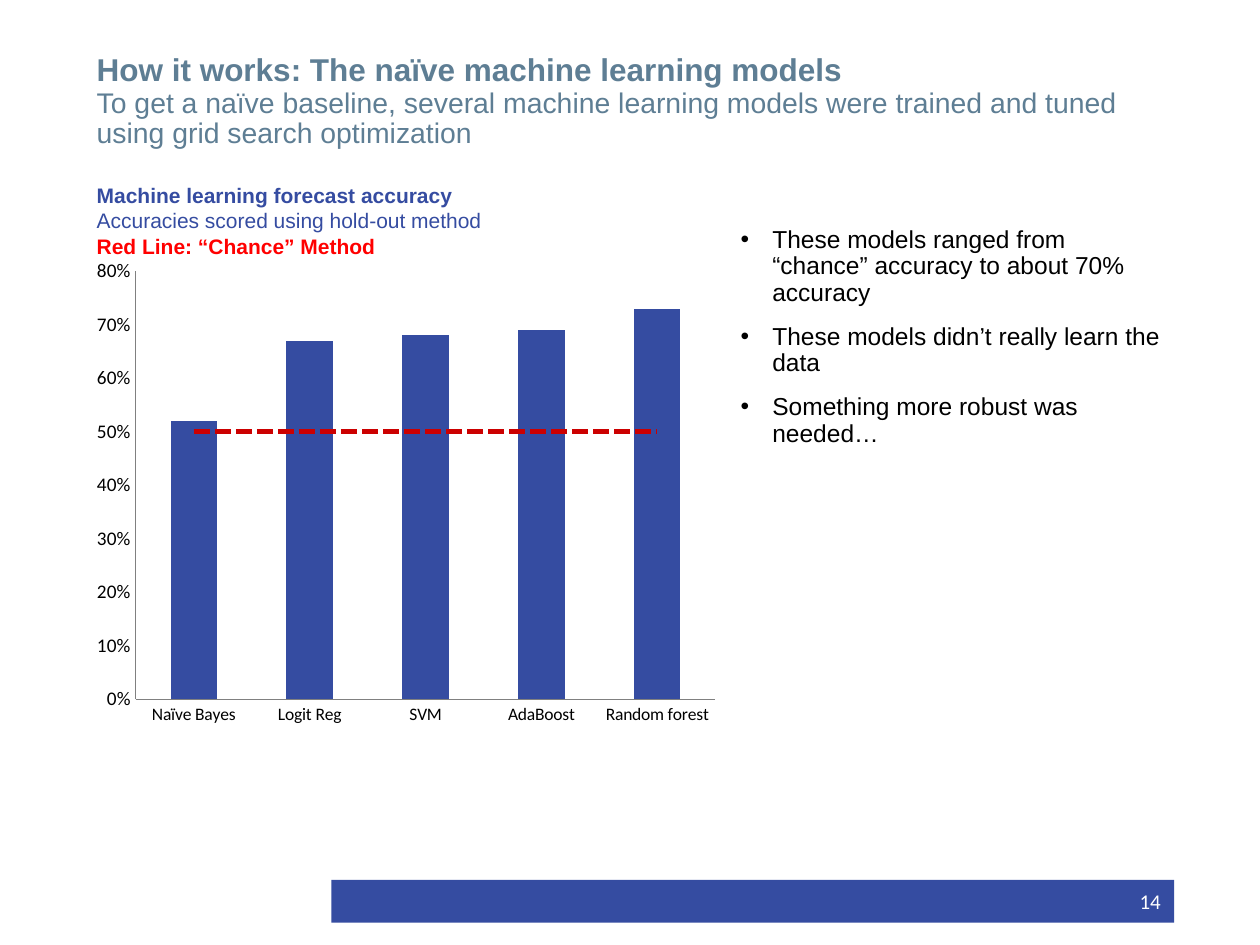
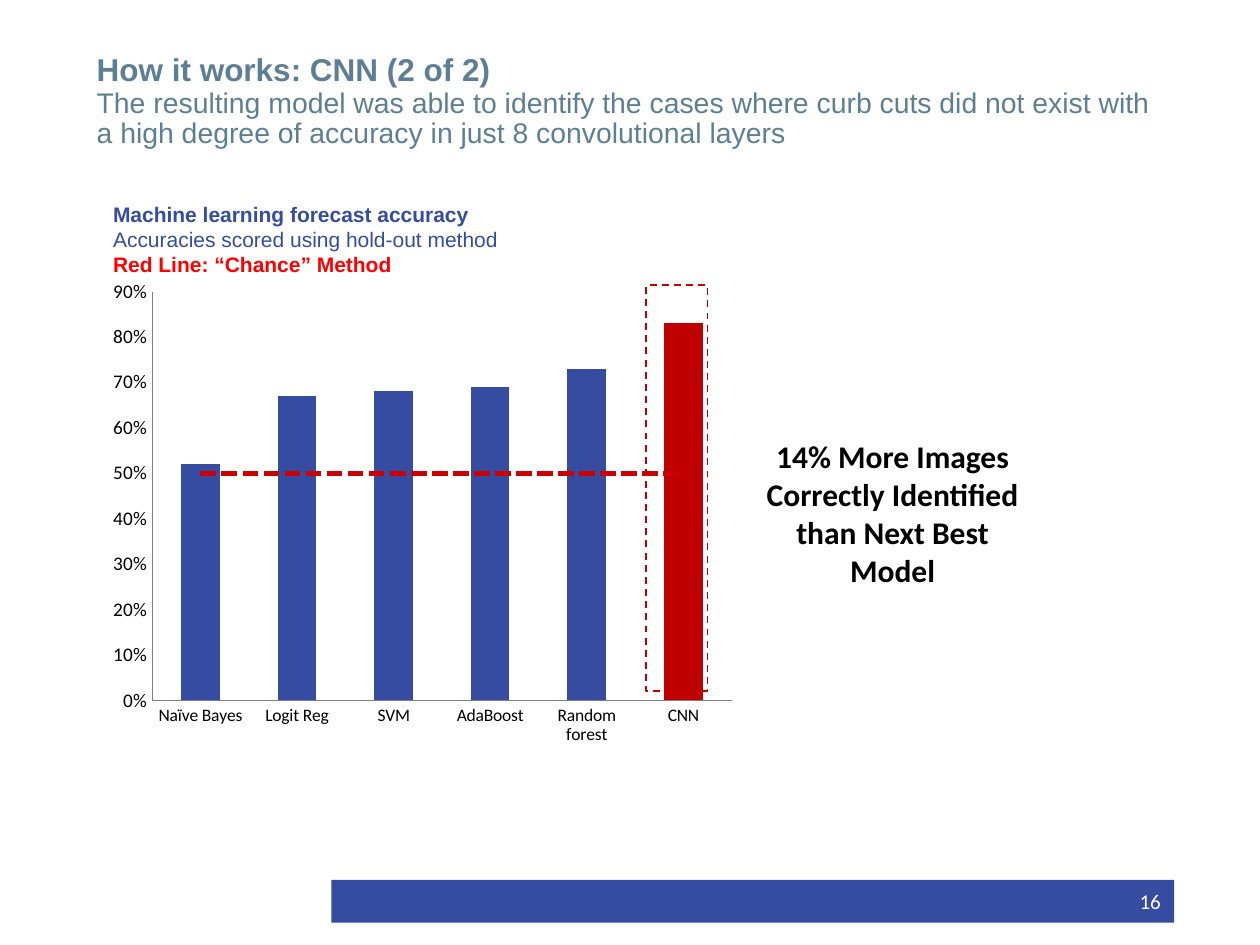
from lxml import etree
from pptx import Presentation
from pptx.chart.data import CategoryChartData
from pptx.dml.color import RGBColor
from pptx.enum.chart import XL_CHART_TYPE, XL_MARKER_STYLE, XL_TICK_MARK
from pptx.enum.dml import MSO_LINE
from pptx.enum.shapes import MSO_SHAPE
from pptx.enum.text import MSO_ANCHOR, PP_ALIGN
from pptx.oxml import parse_xml
from pptx.oxml.ns import nsdecls, qn
from pptx.util import Cm, Pt

COLUMNS = XL_CHART_TYPE.COLUMN_CLUSTERED
NO_MARKER = XL_MARKER_STYLE.NONE
NO_TICK = XL_TICK_MARK.NONE
DASH, SHORT_DASH = MSO_LINE.DASH, MSO_LINE.SQUARE_DOT
RECT = MSO_SHAPE.RECTANGLE
MIDDLE, BOTTOM = MSO_ANCHOR.MIDDLE, MSO_ANCHOR.BOTTOM
CENTER, RIGHT = PP_ALIGN.CENTER, PP_ALIGN.RIGHT

BLACK = RGBColor(0x00, 0x00, 0x00)
WHITE = RGBColor(0xFF, 0xFF, 0xFF)
GRAY = RGBColor(0x80, 0x80, 0x80)
SLATE = RGBColor(0x5E, 0x7E, 0x94)
BLUE = RGBColor(0x35, 0x4C, 0xA1)
DARK_RED = RGBColor(0xC0, 0x00, 0x00)
LINE_RED = RGBColor(0xCC, 0x00, 0x00)
RED = RGBColor(0xFF, 0x00, 0x00)

CHANCE = 0.5
MODELS = [("Naïve Bayes", 0.52), ("Logit Reg", 0.67), ("SVM", 0.68),
          ("AdaBoost", 0.69), ("Random forest", 0.73)]
CAPTION = ["Machine learning forecast accuracy",
           "Accuracies scored using hold-out method",
           "Red Line: “Chance” Method"]
FINDINGS = ["These models ranged from “chance” accuracy to about 70% accuracy",
            "These models didn’t really learn the data",
            "Something more robust was needed…"]

# Chart and caption positions are in cm; plot_h is a share of the chart height
SLIDES = [
    dict(number="14", title="How it works: The naïve machine learning models",
         subtitle="To get a naïve baseline, several machine learning models were "
                  "trained and tuned using grid search optimization",
         models=MODELS, left=1.7, chart_top=5.08, caption_top=3.56,
         top_value=0.8, plot_h=0.89),
    dict(number="16", title="How it works: CNN (2 of 2)",
         subtitle="The resulting model was able to identify the cases where curb cuts "
                  "did not exist with a high degree of accuracy in just 8 "
                  "convolutional layers",
         models=MODELS + [("CNN", 0.83)], left=2.03, chart_top=5.49,
         caption_top=3.94, top_value=0.9, plot_h=0.85),
]


def add_text(s, box, lines, size, font, color, bold=False, align=None):
    """Add a wrapping text box with one paragraph per line; box is in cm."""
    tf = s.shapes.add_textbox(*map(Cm, box)).text_frame
    tf.word_wrap = True
    tf.text = "\n".join(lines)
    for p in tf.paragraphs:
        p.alignment = align
        for r in p.runs:
            r.font.size, r.font.name, r.font.bold = Pt(size), font, bold
            r.font.color.rgb = color
    return tf


def add_accuracy_chart(s, models, left, top, top_value, plot_h):
    """Add accuracy columns with a dashed line at chance level; return the columns."""
    data = CategoryChartData(number_format="0%")
    data.categories = [name for name, _ in models]
    data.add_series("Series 1", [value for _, value in models])
    data.add_series("Series 2", [CHANCE] * len(models))
    chart = s.shapes.add_chart(COLUMNS, Cm(left), Cm(top), Cm(12.98), Cm(9.7), data).chart
    chart.has_legend = chart.has_title = False
    chart.font.name, chart.font.size = "Calibri", Pt(18)
    chart.font.color.rgb = BLACK

    for axis, size in ((chart.category_axis, 10), (chart.value_axis, 11)):
        axis.has_major_gridlines = False
        axis.major_tick_mark = axis.minor_tick_mark = NO_TICK
        axis.tick_labels.font.size = Pt(size)
        axis.format.line.color.rgb = GRAY
        axis.format.line.width = Pt(0.75)
    value_axis = chart.value_axis
    value_axis.minimum_scale, value_axis.maximum_scale = 0, top_value
    value_axis.major_unit = 0.1
    value_axis.tick_labels.number_format = "0%"
    value_axis.tick_labels.number_format_is_linked = False

    plot = chart.plots[0]
    plot.gap_width = 150
    plot.vary_by_categories = False
    columns, chance = plot.series
    columns.invert_if_negative = False
    columns.format.fill.solid()
    columns.format.fill.fore_color.rgb = BLUE

    # Move the second series into a line chart on the same axes
    bar_chart, ser = columns._element.getparent(), chance._element
    for flag in ser.findall(qn("c:invertIfNegative")):
        ser.remove(flag)
    line_chart = parse_xml(f'<c:lineChart {nsdecls("c")}><c:grouping val="standard"/>'
                           '<c:varyColors val="0"/><c:marker val="1"/></c:lineChart>')
    line_chart.insert(2, ser)
    for ax_id in bar_chart.findall(qn("c:axId")):
        etree.SubElement(line_chart, qn("c:axId")).set("val", ax_id.get("val"))
    bar_chart.addnext(line_chart)
    chance = chart.plots[1].series[0]
    chance.smooth = False
    chance.marker.style = NO_MARKER
    chance.format.line.color.rgb = LINE_RED
    chance.format.line.width = Pt(3)
    chance.format.line.dash_style = SHORT_DASH

    plot_area = bar_chart.getparent()
    for layout in plot_area.findall(qn("c:layout")):
        plot_area.remove(layout)
    sides = "".join(f'<c:{tag} val="{val}"/>' for tag, val in (
        ("layoutTarget", "inner"), ("xMode", "edge"), ("yMode", "edge"),
        ("x", 0.08), ("y", 0.04), ("w", 0.9), ("h", plot_h)))
    plot_area.insert(0, parse_xml(f'<c:layout {nsdecls("c")}><c:manualLayout>{sides}'
                                  '</c:manualLayout></c:layout>'))
    return columns


prs = Presentation()
prs.slide_width, prs.slide_height = Cm(25.4), Cm(19.05)

for info in SLIDES:
    s = prs.slides.add_slide(prs.slide_layouts[6])

    # Footer: band and slide number
    band = s.shapes.add_shape(RECT, Cm(6.68), Cm(17.74), Cm(16.99), Cm(0.86))
    band.shadow.inherit = False
    band.fill.solid()
    band.fill.fore_color.rgb = BLUE
    band.line.fill.background()
    tf = add_text(s, (17.93, 17.65, 5.72, 1.02), [info["number"]], 12, "Calibri", WHITE,
                  align=RIGHT)
    tf.vertical_anchor = MIDDLE

    # Title with its subtitle on the next line
    tf = add_text(s, (1.7, 0.91, 21.97, 2.24), [info["title"] + "\v" + info["subtitle"]],
                  18, "Arial", SLATE, bold=True)
    tf.vertical_anchor = BOTTOM
    p = tf.paragraphs[0]
    p.line_spacing = 0.9
    p.runs[1].font.size, p.runs[1].font.bold = Pt(16.2), False

    # Chart and its caption
    columns = add_accuracy_chart(s, info["models"], info["left"], info["chart_top"],
                                 info["top_value"], info["plot_h"])
    tf = add_text(s, (info["left"], info["caption_top"], 12.45, 1.8), CAPTION, 12, "Arial",
                  BLUE, bold=True)
    tf.paragraphs[1].runs[0].font.bold = False
    tf.paragraphs[2].runs[0].font.color.rgb = RED

    if info["models"] is MODELS:
        tf = add_text(s, (14.68, 4.45, 8.97, 12.7), FINDINGS, 14, "Arial", BLACK)
        for i, p in enumerate(tf.paragraphs):
            pPr = p._p.get_or_add_pPr()
            pPr.set("marL", str(Cm(0.64)))
            pPr.set("indent", str(-Cm(0.64)))
            etree.SubElement(pPr, qn("a:buFont")).set("typeface", "Arial")
            etree.SubElement(pPr, qn("a:buChar")).set("char", "•")
            p.line_spacing = 0.9
            p.space_before = Pt(10 if i else 0)
    else:
        cnn = columns.points[len(MODELS)].format.fill
        cnn.solid()
        cnn.fore_color.rgb = DARK_RED
        frame = s.shapes.add_shape(RECT, Cm(9.55), Cm(9.22), Cm(8.18), Cm(1.24))
        frame.rotation = 90
        frame.shadow.inherit = False
        frame.fill.background()
        frame.line.color.rgb = DARK_RED
        frame.line.width = Pt(1)
        frame.line.dash_style = DASH
        add_text(s, (15.01, 8.69, 5.97, 3.33),
                 ["14% More Images Correctly Identified than Next Best Model"],
                 18, "Calibri", BLACK, bold=True, align=CENTER)

prs.save("out.pptx")
